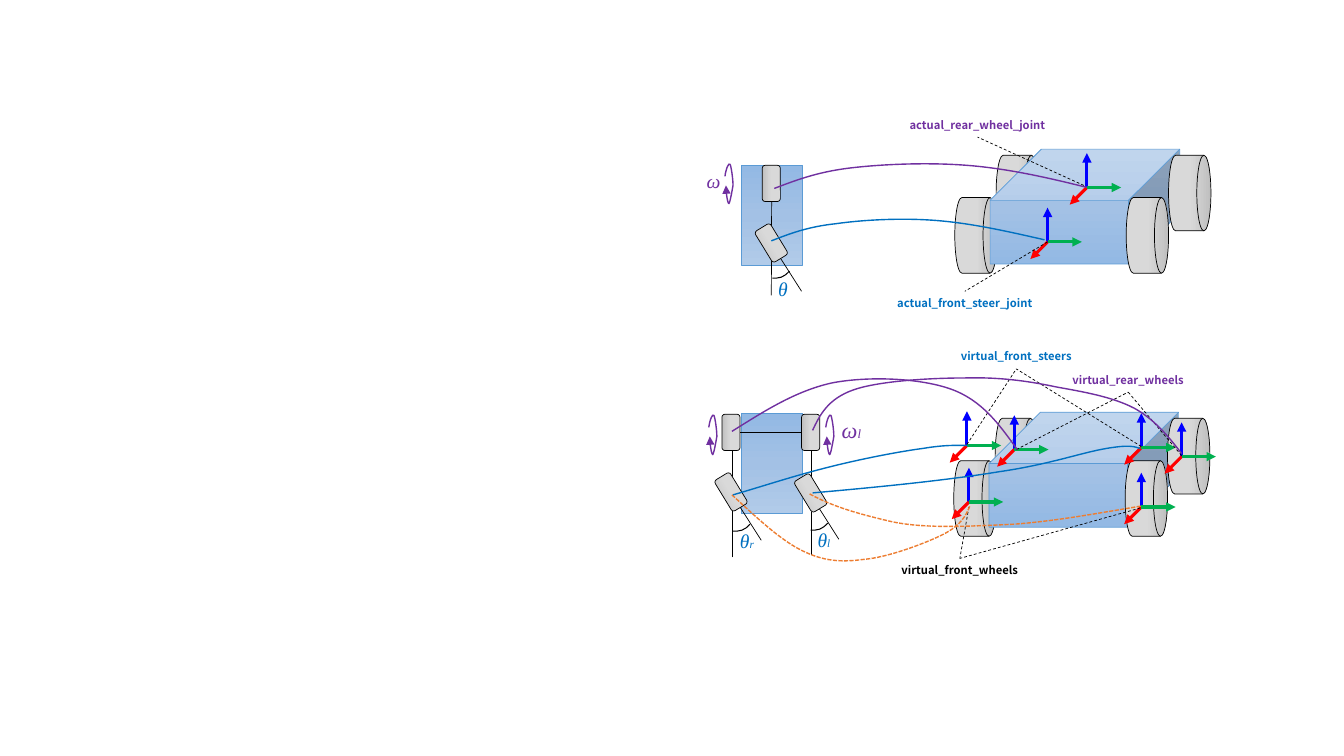
from copy import deepcopy
from dataclasses import dataclass
from typing import Any

from lxml.etree import SubElement
from pptx import Presentation
from pptx.dml.color import RGBColor
from pptx.enum.dml import MSO_LINE as DASH
from pptx.enum.shapes import MSO_CONNECTOR as CONNECTOR, MSO_SHAPE as SHAPE
from pptx.enum.text import MSO_AUTO_SIZE as AUTO_SIZE, PP_ALIGN as ALIGN
from pptx.oxml.ns import qn
from pptx.util import Inches, Pt

BLACK, BLUE, PURPLE, ORANGE = "000000", "0070C0", "7030A0", "ED7D31"
BODY_STOPS = ["B1CBE9", "A3C1E5", "93B9E4"]
WHEEL_STOPS = ["D9D9D9", "D9D9D9", "BFBFBF"]
WHEEL_SIZE = (0.18, 0.36)
BODY_SIZE = (0.61, 0.99)
STEER_ROTATION = 148.6
TOP, LEFT, BOTTOM, RIGHT = range(4)


@dataclass
class Region:
    """A set of shapes and the corner its parts are placed from, in inches."""
    shapes: Any
    left: float
    top: float

    def at(self, x, y):
        return Inches(self.left + x), Inches(self.top + y)

    def inner(self, x, y, shapes=None):
        return Region(shapes or self.shapes, self.left + x, self.top + y)


def color(value):
    return RGBColor.from_string(value)


def apply(target, formats):
    for name, value in formats.items():
        setattr(target, name, value)


def set_line(shape, hex_color, width, dash=None, arrow=False):
    shape.line.color.rgb = color(hex_color)
    apply(shape.line, {"width": Pt(width), "dash_style": dash})
    if arrow:
        SubElement(shape._element.spPr.find(qn("a:ln")), qn("a:tailEnd"), type="triangle")


def set_gradient(shape, stops, angle):
    shape.fill.gradient()
    shape.fill.gradient_angle = angle
    stop_list = shape._element.spPr.find(".//" + qn("a:gsLst"))
    stop_list.append(deepcopy(stop_list[-1]))
    for stop, position, value in zip(shape.fill.gradient_stops, (0, 0.5, 1), stops):
        stop.position = position
        stop.color.rgb = color(value)


def add_solid(region, kind, place, size, stops, angle, outline=BLACK, rotation=0):
    shape = region.shapes.add_shape(kind, *region.at(*place), *map(Inches, size))
    shape.shadow.inherit = False
    shape.rotation = rotation
    set_gradient(shape, stops, angle)
    set_line(shape, outline, 0.5)
    return shape


def add_line(region, start, end, hex_color=BLACK, width=0.5, **style):
    line = region.shapes.add_connector(CONNECTOR.STRAIGHT, *region.at(*start), *region.at(*end))
    set_line(line, hex_color, width, **style)
    SubElement(line._element.spPr, qn("a:effectLst"))
    return line


def add_curve(region, points, hex_color, width=1, **style):
    """Draw a Bezier chain: a start point, then two controls and an end per piece."""
    start, *rest = [region.at(*point) for point in points]
    builder = region.shapes.build_freeform(*start)
    builder.add_line_segments(rest, close=False)
    curve = builder.convert_to_shape()
    outline = curve._element.spPr.find(".//" + qn("a:path"))
    segments = outline.findall(qn("a:lnTo"))
    for first in range(0, len(segments), 3):
        cubic = SubElement(outline, qn("a:cubicBezTo"))
        for segment in segments[first:first + 3]:
            cubic.append(segment[0])
            outline.remove(segment)
    curve.shadow.inherit = False
    curve.fill.background()
    set_line(curve, hex_color, width, **style)


def add_text(region, place, size, spans, hex_color, font, wrap=True, align=None, **style):
    """Write one paragraph from (text, point size) spans."""
    box = region.shapes.add_textbox(*region.at(*place), *map(Inches, size))
    apply(box.text_frame, {"word_wrap": wrap, "auto_size": AUTO_SIZE.SHAPE_TO_FIT_TEXT})
    para = box.text_frame.paragraphs[0]
    para.alignment = align
    for text, points in spans:
        span = para.add_run()
        span.text = text
        apply(span.font, {"size": Pt(points), "name": font, **style})
        span.font.color.rgb = color(hex_color)
    return box


def add_symbol(region, place, size, spans, hex_color, wrap=True):
    add_text(region, place, size, spans, hex_color, "Times New Roman", wrap, italic=True)


def add_callout(region, text, place, width, hex_color, side, targets):
    """Label a joint and run a dashed leader from each target to one side of it."""
    label = add_text(region, place, (width, 0.24), [(text, 8)], hex_color,
                     "Noto Sans CJK JP", align=ALIGN.CENTER, bold=True)
    for target in targets:
        add_line(region, target, place, dash=DASH.DASH).end_connect(label, side)


def draw_car(region):
    def drum(x, y):
        add_solid(region, SHAPE.FLOWCHART_DIRECT_ACCESS_STORAGE, (x, y), (0.42, 0.75), WHEEL_STOPS, 0)

    drum(0.41, 0.06)
    drum(0, 0.48)
    chassis = add_solid(region, SHAPE.CUBE, (0.35, 0), (1.88, 1.14), BODY_STOPS, 270, "5B9BD5")
    chassis.adjustments[0] = 0.446
    drum(1.7, 0.48)
    drum(2.12, 0.06)


def draw_axes(region, x, y):
    axes = region.inner(x, y, region.shapes.add_group_shape().shapes)
    for tip, hex_color in [((0, -0.34), "0000FF"), ((-0.17, 0.17), "FF0000"), ((0.34, 0), "00B050")]:
        add_line(axes, (0, 0), tip, hex_color, 2.25, arrow=True)


def draw_body(region, place):
    return add_solid(region, SHAPE.RECTANGLE, place, BODY_SIZE, BODY_STOPS[::-1], 270, "5B9BD5")


def draw_rear_wheel(region, place):
    return add_solid(region, SHAPE.ROUNDED_RECTANGLE, place, WHEEL_SIZE, WHEEL_STOPS[::-1], 0)


def draw_steered_wheel(region, wheel, ray, arc):
    """Draw a turned wheel, the ray along it and the arc of its angle."""
    x, y = ray
    add_line(region, (x, y), (x - 0.21, y - 0.33))
    add_curve(region.inner(*arc), [(0.17, 0), (0.14, 0.03), (0.12, 0.05), (0.09, 0.06),
                                   (0.06, 0.07), (0.03, 0.07), (0, 0.07)], BLACK, 0.75)
    add_solid(region, SHAPE.ROUNDED_RECTANGLE, wheel, WHEEL_SIZE, WHEEL_STOPS, 0, rotation=STEER_ROTATION)


def draw_spin(region, x, y):
    add_curve(region.inner(x, y), [
        (0, 0.13), (0.01, 0.05), (0.04, -0.01), (0.05, 0.01), (0.06, 0.02), (0.08, 0.15), (0.08, 0.22),
        (0.07, 0.28), (0.05, 0.39), (0.04, 0.4), (0.03, 0.4), (0.01, 0.31), (0.01, 0.22)], PURPLE, arrow=True)


def draw_actual_joints(region):
    draw_car(region.inner(2.57, 0.38))
    draw_axes(region, 3.49, 1.3)
    add_callout(region, "actual_front_steer_joint", (1.78, 1.79), 1.78, BLUE, TOP, [(3.49, 1.3)])
    add_callout(region, "actual_rear_wheel_joint", (1.9, 0.02), 1.79, PURPLE, BOTTOM, [(3.85, 0.74)])
    draw_axes(region, 3.88, 0.76)
    add_symbol(region, (0.72, 1.6), (0.31, 0.34), [("θ", 14)], BLUE)
    add_symbol(region, (0.01, 0.53), (0.34, 0.34), [("ω", 14)], PURPLE, wrap=False)
    body = draw_body(region, (0.45, 0.54))
    add_line(region, (0.75, 1.83), (0.75, 0.54)).end_connect(body, TOP)
    draw_spin(region, 0.29, 0.52)
    draw_rear_wheel(region, (0.66, 0.54))
    draw_steered_wheel(region, (0.66, 1.13), (1.05, 1.79), (0.76, 1.59))
    add_curve(region, [(0.75, 1.29), (0.93, 1.22), (1.11, 1.15), (1.39, 1.12), (1.67, 1.08),
                       (2.07, 1.06), (2.41, 1.09), (2.76, 1.12), (3.11, 1.2), (3.46, 1.28)], BLUE)
    add_curve(region, [(0.78, 0.77), (0.99, 0.69), (1.2, 0.61), (1.51, 0.57), (1.83, 0.53),
                       (2.29, 0.51), (2.68, 0.54), (3.08, 0.57), (3.48, 0.66), (3.88, 0.76)], PURPLE)


def draw_virtual_joints(region):
    draw_car(region.inner(2.56, 0.69))
    for joint in [(2.71, 1.58), (2.69, 1.02), (4.42, 1.63), (4.82, 1.13), (3.16, 1.06), (4.42, 1.04)]:
        draw_axes(region, *joint)
    for text, place, hex_color, side, targets in [
            ("virtual_front_wheels", (1.83, 2.14), BLACK, TOP, [(2.71, 1.63), (4.41, 1.64)]),
            ("virtual_front_steers", (2.39, 0.02), BLUE, BOTTOM, [(2.69, 1.01), (4.42, 1.03)]),
            ("virtual_rear_wheels", (3.5, 0.25), PURPLE, BOTTOM, [(3.18, 1.06), (4.82, 1.12)])]:
        add_callout(region, text, place, 1.58, hex_color, side, targets)
    add_symbol(region, (1.11, 1.79), (0.35, 0.34), [("θ", 14), ("l", 8)], BLUE)
    add_symbol(region, (0.34, 1.8), (0.41, 0.34), [("θ", 14), ("r", 8)], BLUE)
    add_symbol(region, (1.35, 0.68), (0.39, 0.37), [("ω", 16), ("l", 9)], PURPLE, wrap=False)
    for x, y in [(0.36, 0.88), (1.15, 0.86)]:
        add_line(region, (x, y + 1.25), (x, y))
    draw_body(region, (0.45, 0.7))
    draw_steered_wheel(region, (0.26, 1.3), (0.65, 1.96), (0.37, 1.8))
    draw_steered_wheel(region, (1.05, 1.31), (1.42, 1.95), (1.14, 1.79))
    right_wheel, left_wheel = [draw_rear_wheel(region, (x, 0.71)) for x in (1.05, 0.26)]
    axle = add_line(region, (1.05, 0.89), (0.44, 0.89))
    axle.begin_connect(right_wheel, LEFT)
    axle.end_connect(left_wheel, RIGHT)
    for x in (0.13, 1.29):
        draw_spin(region, x, 0.71)
    add_curve(region, [(1.13, 1.5), (1.35, 1.62), (1.58, 1.69), (1.92, 1.77), (2.26, 1.85), (2.74, 1.82),
                       (3.16, 1.8), (3.57, 1.77), (4, 1.69), (4.42, 1.62)], ORANGE, dash=DASH.SQUARE_DOT)
    add_curve(region, [(0.36, 1.51), (0.6, 1.73), (0.83, 1.95), (1.05, 2.06), (1.27, 2.17), (1.44, 2.18),
                       (1.67, 2.15), (1.91, 2.13), (2.28, 1.99), (2.46, 1.9), (2.63, 1.81), (2.68, 1.72),
                       (2.72, 1.62)], ORANGE, dash=DASH.SQUARE_DOT)
    add_curve(region, [(0.37, 1.51), (0.68, 1.42), (0.98, 1.32), (1.3, 1.24), (1.61, 1.16),
                       (2.02, 1.08), (2.25, 1.05), (2.49, 1.01), (2.6, 1.02), (2.7, 1.02)], BLUE)
    add_curve(region, [(1.16, 1.49), (1.85, 1.43), (2.53, 1.36), (3.01, 1.28), (3.5, 1.21),
                       (3.83, 1.09), (4.07, 1.05), (4.3, 1.01), (4.35, 1.03), (4.41, 1.05)], BLUE)
    add_curve(region, [(0.36, 0.88), (0.68, 0.68), (0.99, 0.48), (1.35, 0.4), (1.71, 0.33),
                       (2.22, 0.35), (2.53, 0.46), (2.84, 0.57), (3.01, 0.81), (3.19, 1.06)], PURPLE)
    add_curve(region, [(1.16, 0.87), (1.23, 0.72), (1.31, 0.56), (1.56, 0.47), (1.81, 0.38), (2.33, 0.35),
                       (2.67, 0.35), (3.01, 0.34), (3.3, 0.38), (3.58, 0.44), (3.86, 0.49), (4.14, 0.54),
                       (4.35, 0.65), (4.55, 0.76), (4.69, 0.93), (4.82, 1.1)], PURPLE)


def main():
    deck = Presentation()
    apply(deck, {"slide_width": Inches(13.33), "slide_height": Inches(7.5)})
    page = deck.slides.add_slide(deck.slide_layouts[6])
    draw_actual_joints(Region(page.shapes, 6.9, 1.1))
    draw_virtual_joints(Region(page.shapes, 6.9, 3.4))
    deck.save("out.pptx")


if __name__ == "__main__":
    main()
